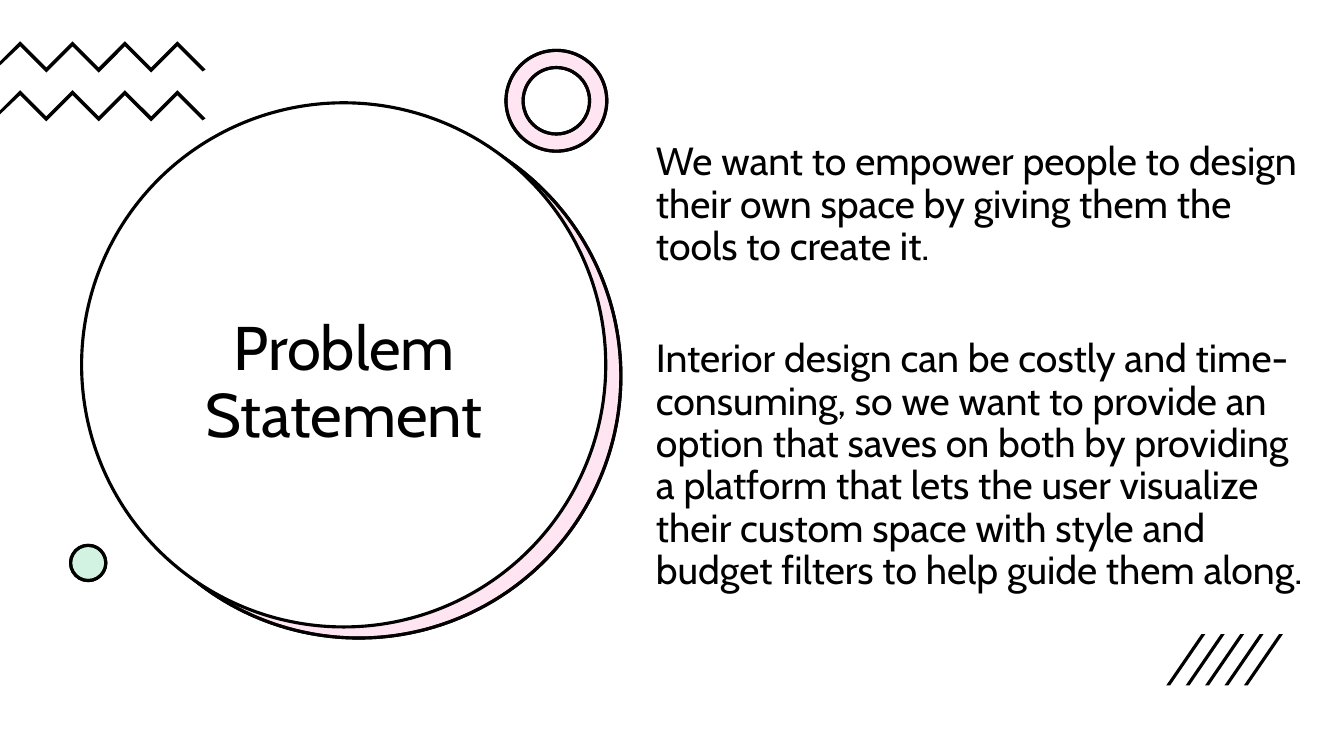
"""Builds the Problem Statement slide with its geometric ornaments."""
from dataclasses import dataclass

from lxml.etree import SubElement
from pptx import Presentation
from pptx.dml.color import RGBColor
from pptx.enum.shapes import MSO_SHAPE as Preset
from pptx.enum.text import MSO_ANCHOR as Anchor, MSO_AUTO_SIZE as AutoSize, PP_ALIGN as Align
from pptx.oxml.ns import qn
from pptx.shapes.autoshape import Shape
from pptx.slide import Slide
from pptx.text.text import TextFrame
from pptx.util import Emu, Inches, Pt

COLUMNS, ROWS = 160, 90
CELL = Inches(7.5) / ROWS
Point = tuple[float, float]


@dataclass(frozen=True)
class Theme:
    """Colours, font and sizes used on the slide."""
    ink: str = "000000"
    paper: str = "FFFFFF"
    pink: str = "FF80BD"
    green: str = "21C46B"
    tint_percent: int = 20
    outline: float = 2.25
    font: str = "Cabin"
    title_size: int = 44
    body_size: int = 28
    line_spacing: float = 0.9
    paragraph_gap: int = 50


@dataclass(frozen=True)
class Area:
    """A rectangle counted in grid cells."""
    column: float
    row: float
    columns: float
    rows: float

    def lengths(self) -> tuple[Emu, Emu, Emu, Emu]:
        """Return left, top, width and height."""
        return tuple(cells(count) for count in (self.column, self.row, self.columns, self.rows))


@dataclass(frozen=True)
class Ring:
    """A round ornament: a paper layer, and a tint over it if one is named."""
    column: float
    row: float
    diameter: float
    tint: str = ""
    thickness: float = 0


THEME = Theme()
DISCS = (
    Ring(11.52, 13.56, 62.4, THEME.pink),
    Ring(9.72, 12.24, 62.4),
)
ACCENTS = (
    Ring(60.24, 6, 12, THEME.pink, 0.17),
    Ring(8.4, 64.92, 4.2, THEME.green),
)
TITLE_AREA = Area(14.52, 24.6, 52.92, 42.24)
BODY_AREA = Area(76.92, 16.32, 79.68, 69.36)
TITLE = "Problem Statement"
BODY = (
    "We want to empower people to design their own space by giving them the tools to create it.",
    "Interior design can be costly and time-consuming, so we want to provide an option that saves "
    "on both by providing a platform that lets the user visualize their custom space with style "
    "and budget filters to help guide them along.",
)
ZIGZAG_ROWS = (4.92, 10.74)
STRIPE_COUNT = 5


def cells(count: float) -> Emu:
    """Convert grid cells to a length."""
    return Emu(round(count * CELL))


def paint(shape: Shape, colour: str, outlined: bool = False, percent: int = 100) -> None:
    """Give a shape its fill, outline and opacity."""
    shape.shadow.inherit = False
    shape.fill.solid()
    shape.fill.fore_color.rgb = RGBColor.from_string(colour)
    if percent < 100:
        tone = shape.fill._xPr.find(qn("a:solidFill"))[0]
        SubElement(tone, qn("a:alpha"), val=str(percent * 1000))
    if outlined:
        shape.line.color.rgb = RGBColor.from_string(THEME.ink)
        shape.line.width = Pt(THEME.outline)
    else:
        shape.line.fill.background()


def draw_ring(page: Slide, ring: Ring) -> None:
    """Draw a round ornament layer by layer."""
    layers = [(THEME.paper, 100)]
    if ring.tint:
        layers.append((ring.tint, THEME.tint_percent))
    area = Area(ring.column, ring.row, ring.diameter, ring.diameter)
    for colour, percent in layers:
        preset = Preset.DONUT if ring.thickness else Preset.OVAL
        shape = page.shapes.add_shape(preset, *area.lengths())
        if ring.thickness:
            shape.adjustments[0] = ring.thickness
        paint(shape, colour, outlined=True, percent=percent)


def draw_outline(page: Slide, points: list[Point]) -> None:
    """Draw a closed ink shape through grid points."""
    corners = [(cells(column), cells(row)) for column, row in points]
    builder = page.shapes.build_freeform(*corners[0])
    builder.add_line_segments(corners[1:], close=True)
    paint(builder.convert_to_shape(), THEME.ink)


def draw_zigzag(page: Slide, top: float) -> None:
    """Draw a zigzag band that enters from the left edge."""
    ridge = [(2.4 + 3.12 * turn, top + 3.12 * (turn % 2)) for turn in range(7)]
    underside = [(column, row + 0.6) for column, row in reversed(ridge)]
    tip = [(24.48, top + 3.36), (24.12, top + 3.6)]
    draw_outline(page, ridge + tip + underside + [(0, top + 2.88), (0, top + 2.4)])


def draw_stripe(page: Slide, index: int) -> None:
    """Draw one of the evenly spaced slanted stripes."""
    left, top, bottom = 138.84 + 2.31 * index, 75.48, 81.6
    draw_outline(page, [(left + 0.46, bottom), (left, bottom), (left + 4.2, top), (left + 4.66, top)])


def write(frame: TextFrame, texts: tuple[str, ...], size: int, align: Align, anchor: Anchor) -> None:
    """Fill a text frame with evenly separated paragraphs."""
    frame.word_wrap = True
    frame.auto_size = AutoSize.NONE
    frame.vertical_anchor = anchor
    for index, text in enumerate(texts):
        para = frame.add_paragraph() if index else frame.paragraphs[0]
        para.alignment = align
        para.line_spacing = THEME.line_spacing
        para.space_before = Pt(THEME.paragraph_gap if index else 0)
        span = para.add_run()
        span.text = text
        span.font.name = THEME.font
        span.font.size = Pt(size)
        span.font.color.rgb = RGBColor.from_string(THEME.ink)


def place_title(page: Slide) -> None:
    """Move the title placeholder in front of the discs and fill it."""
    title = page.shapes.title
    title.left, title.top, title.width, title.height = TITLE_AREA.lengths()
    page.shapes._spTree.append(title._element)
    write(title.text_frame, (TITLE,), THEME.title_size, Align.CENTER, Anchor.MIDDLE)


def main() -> None:
    """Build and save the deck."""
    deck = Presentation()
    deck.slide_width, deck.slide_height = cells(COLUMNS), cells(ROWS)
    page = deck.slides.add_slide(deck.slide_layouts[5])
    backdrop = page.shapes.add_shape(Preset.RECTANGLE, *Area(0, 0, COLUMNS, ROWS).lengths())
    paint(backdrop, THEME.paper)
    for disc in DISCS:
        draw_ring(page, disc)
    place_title(page)
    for top in ZIGZAG_ROWS:
        draw_zigzag(page, top)
    for accent in ACCENTS:
        draw_ring(page, accent)
    body = page.shapes.add_textbox(*BODY_AREA.lengths())
    write(body.text_frame, BODY, THEME.body_size, Align.LEFT, Anchor.TOP)
    for index in range(STRIPE_COUNT):
        draw_stripe(page, index)
    deck.save("out.pptx")


if __name__ == "__main__":
    main()
